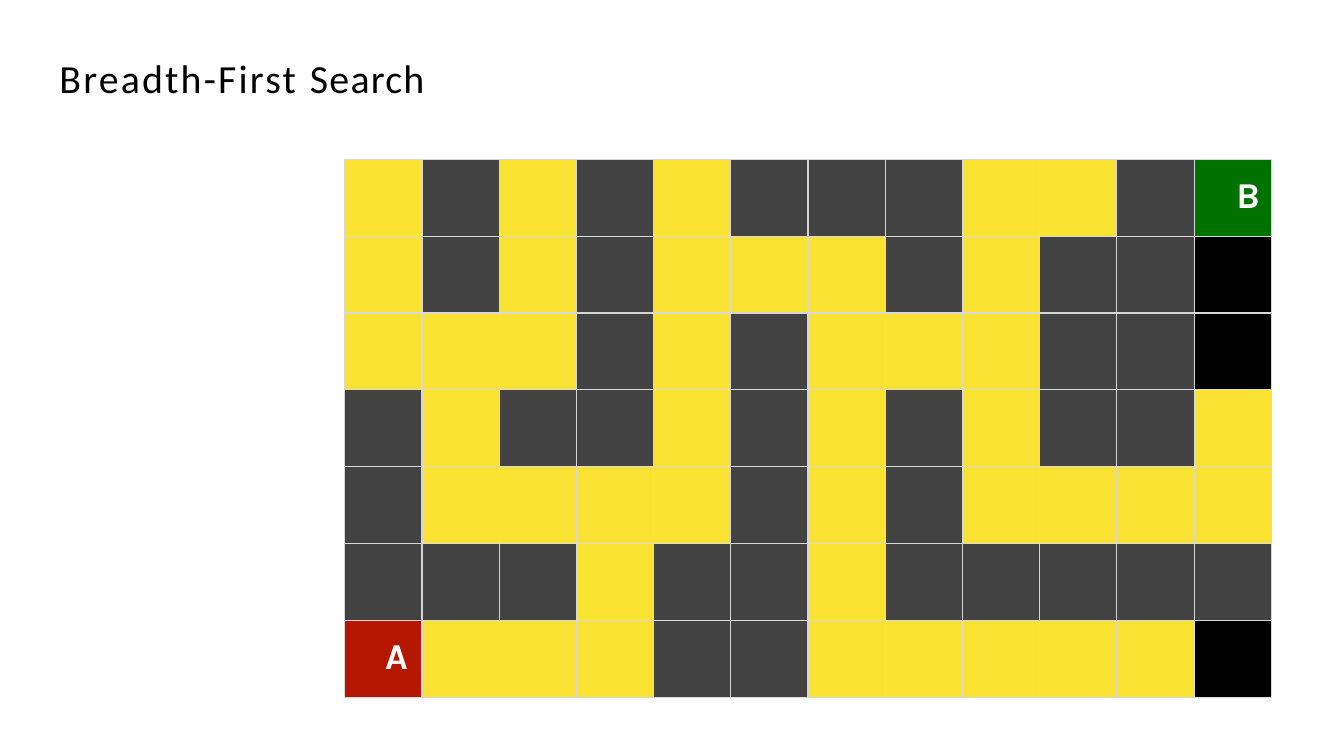
"""Build the breadth-first search maze slide."""
from dataclasses import dataclass
from typing import Any

from lxml import etree
from pptx import Presentation
from pptx.dml.color import RGBColor
from pptx.enum.text import MSO_ANCHOR
from pptx.oxml.ns import qn
from pptx.util import Pt

MIDDLE = MSO_ANCHOR.MIDDLE
TOP = MSO_ANCHOR.TOP
PX = 9144


@dataclass(frozen=True)
class Theme:
    ink: str = "000000"
    light: str = "FFFFFF"
    wall: str = "434343"
    seen: str = "FAE232"
    start: str = "B51700"
    goal: str = "017100"
    edge: str = "D6D6D6"
    grid: str = "D6D7D6"
    head: float = 28.5
    mark: float = 26
    line: float = 1
    sans: str = "Calibri"
    bold: str = "Karla"


@dataclass(frozen=True)
class Box:
    left: int
    top: int
    width: int
    height: int

    def emu(self) -> tuple[int, int, int, int]:
        return self.left * PX, self.top * PX, self.width * PX, self.height * PX


@dataclass(frozen=True)
class Label:
    text: str
    inset: int
    indent: int


@dataclass(frozen=True)
class Span:
    text: str
    track: int


THEME = Theme()
PAGE = Box(0, 0, 1333, 750)
TITLE = Box(58, 52, 405, 49)
BOARD = Box(342, 158, 919, 534)
SPANS = (Span("Breadth-First ", 160), Span("Search", 90))
MAZE = (
    ".#.#.###..#B",
    ".#.#...#.##_",
    "...#.#...##_",
    "#.##.#.#.##.",
    "#....#.#....",
    "###.##.#####",
    "A...##....._",
)
FILLS = {"#": THEME.wall, ".": THEME.seen, "_": THEME.ink,
         "A": THEME.start, "B": THEME.goal}
LABELS = {"A": Label("A", 15, 40), "B": Label("B", 16, 42)}
FLUSH = {"margin_left": 0, "margin_right": 0, "margin_bottom": 0}
HEAD = {"name": THEME.sans, "size": Pt(THEME.head)}
MARK = {"name": THEME.bold, "size": Pt(THEME.mark), "bold": True}


def apply(item: Any, form: dict[str, Any]) -> None:
    """Set each named value on the item."""
    for name, value in form.items():
        setattr(item, name, value)


def write(para: Any, text: str, form: dict[str, Any], color: str) -> Any:
    """Add a styled run and return it."""
    run = para.add_run()
    run.text = text
    apply(run.font, form)
    run.font.color.rgb = RGBColor.from_string(color)
    return run


def indent(para: Any, size: int) -> None:
    """Set the left indent of a paragraph."""
    para._p.get_or_add_pPr().set("marL", str(size * PX))


def border(cell: Any, sides: dict[str, bool]) -> None:
    """Line each side, with the edge colour on the outer ones."""
    props = cell._tc.get_or_add_tcPr()
    for side, outer in sides.items():
        line = etree.SubElement(props, qn(f"a:ln{side}"), w=str(Pt(THEME.line)))
        fill = etree.SubElement(line, qn("a:solidFill"))
        etree.SubElement(fill, qn("a:srgbClr"),
                         val=THEME.edge if outer else THEME.grid)


def mark(cell: Any, label: Label) -> None:
    """Write a letter into a cell."""
    apply(cell, FLUSH | {"margin_top": label.inset * PX, "vertical_anchor": TOP})
    para = cell.text_frame.paragraphs[0]
    indent(para, label.indent)
    write(para, label.text, MARK, THEME.light)


def board(slide: Any) -> None:
    """Draw the maze as a table."""
    rows, cols = len(MAZE), len(MAZE[0])
    table = slide.shapes.add_table(rows, cols, *BOARD.emu()).table
    apply(table, {"first_row": False, "horz_banding": False})
    for col in table.columns:
        col.width = BOARD.width * PX // cols
    for row in table.rows:
        row.height = BOARD.height * PX // rows
    for y, line in enumerate(MAZE):
        for x, kind in enumerate(line):
            cell = table.cell(y, x)
            border(cell, {"L": x == 0, "R": x == cols - 1,
                          "T": y == 0, "B": y == rows - 1})
            cell.fill.solid()
            cell.fill.fore_color.rgb = RGBColor.from_string(FILLS[kind])
            if kind in LABELS:
                mark(cell, LABELS[kind])


def title(slide: Any) -> None:
    """Write the slide title."""
    frame = slide.shapes.add_textbox(*TITLE.emu()).text_frame
    apply(frame, FLUSH | {"margin_top": PX, "word_wrap": True,
                          "vertical_anchor": MIDDLE})
    para = frame.paragraphs[0]
    indent(para, 1)
    for span in SPANS:
        run = write(para, span.text, HEAD, THEME.ink)
        run._r.get_or_add_rPr().set("spc", str(span.track))


def main() -> None:
    """Build and save the deck."""
    deck = Presentation()
    apply(deck, {"slide_width": PAGE.width * PX, "slide_height": PAGE.height * PX})
    slide = deck.slides.add_slide(deck.slide_layouts[6])
    board(slide)
    title(slide)
    deck.save("out.pptx")


if __name__ == "__main__":
    main()
